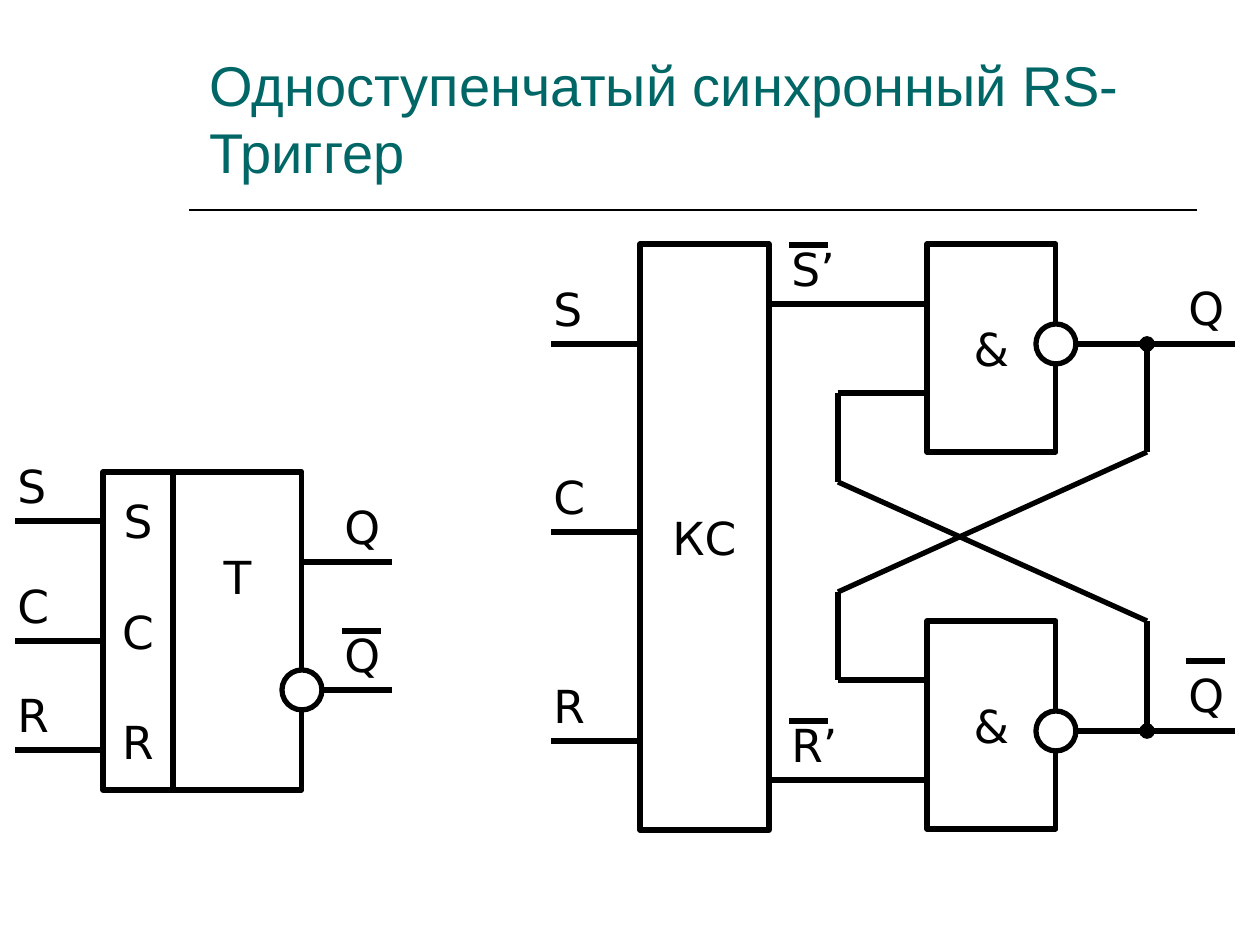
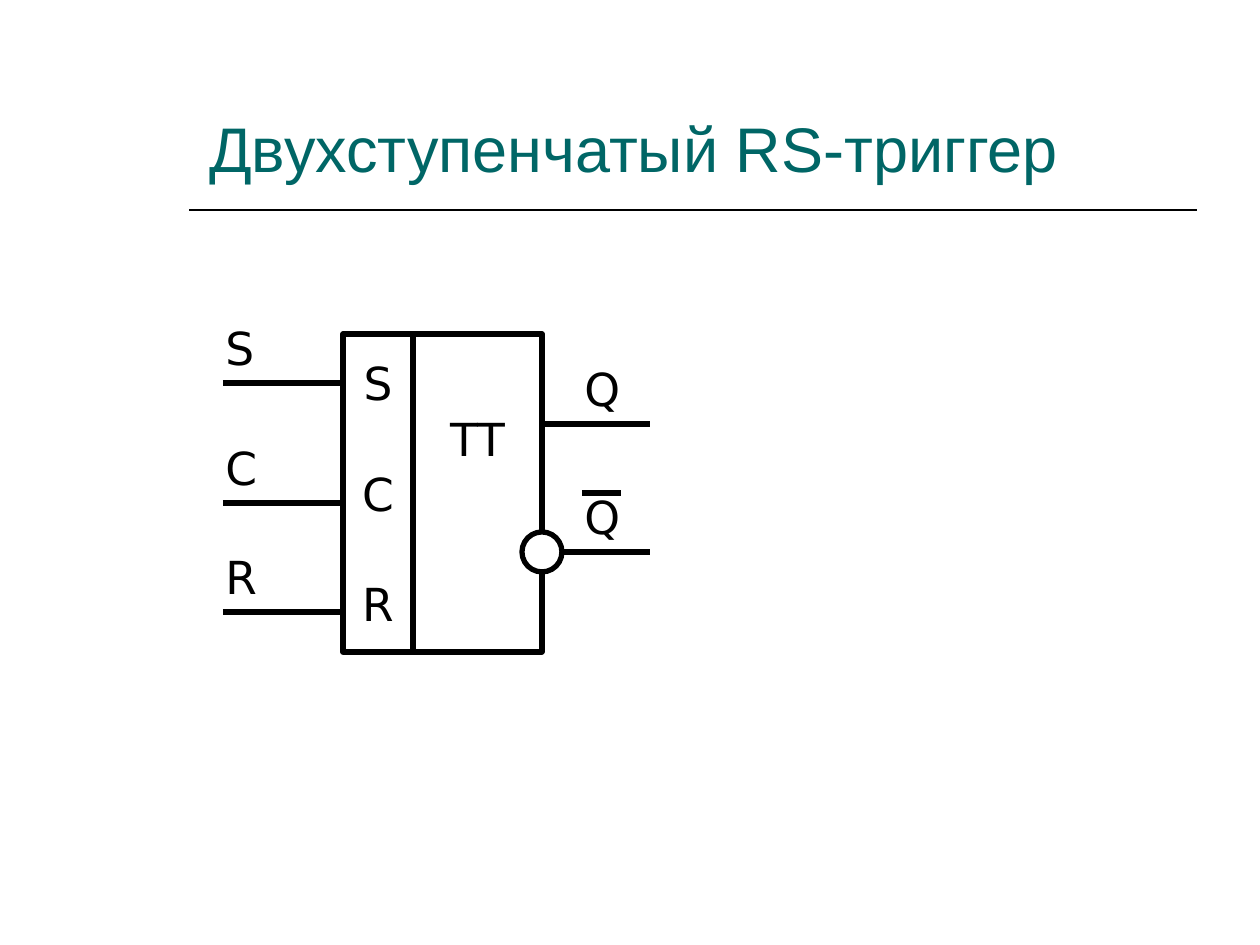
"""Build two slides on single-stage and two-stage RS flip-flops."""
import pptx
import pptx.dml.color
import pptx.enum.shapes
import pptx.enum.text
import pptx.oxml.ns
import pptx.util
from lxml import etree

PX = 914400 / 126
COLOURS = {"title": "006666", "ink": "000000", "paper": "FFFFFF"}
RGB = pptx.dml.color.RGBColor.from_string
SHAPES = pptx.enum.shapes.MSO_SHAPE
ANCHORS = pptx.enum.text.MSO_ANCHOR
ALIGNS = pptx.enum.text.PP_ALIGN
SIGNAL_WIDTH = 3
LABEL_RISE = 69
BAR_RISE = 59
BAR_INDENT = 10
BAR_LENGTH = 39
BUBBLE = 40


def write(slide, text, x, y, w, h, *, outline=None, size=26, font="DejaVu Sans",
          colour="ink", align=ALIGNS.LEFT, anchor=ANCHORS.TOP, top=6, gap=0):
    place = [int(v * PX) for v in (x, y, w, h)]
    if outline is None:
        holder = slide.shapes.add_textbox(*place)
    else:
        holder = slide.shapes.add_shape(outline, *place)
        holder.shadow.inherit = False
        holder.fill.solid()
        holder.fill.fore_color.rgb = RGB(COLOURS["paper"])
        holder.line.color.rgb = RGB(COLOURS["ink"])
        holder.line.width = pptx.util.Pt(SIGNAL_WIDTH)
    frame = holder.text_frame
    frame.word_wrap = outline is None
    frame.vertical_anchor = anchor
    frame.margin_top = int(top * PX)
    frame.text = text
    for index, paragraph in enumerate(frame.paragraphs):
        paragraph.alignment = align
        if index:
            paragraph.space_before = pptx.util.Pt(gap)
        paragraph.font.size = pptx.util.Pt(size)
        paragraph.font.name = font
        paragraph.font.color.rgb = RGB(COLOURS[colour])


def wire(slide, x1, y1, x2, y2, width=SIGNAL_WIDTH, node=False):
    line = slide.shapes.add_connector(
        pptx.enum.shapes.MSO_CONNECTOR.STRAIGHT, *[int(v * PX) for v in (x1, y1, x2, y2)])
    line.line.color.rgb = RGB(COLOURS["ink"])
    line.line.width = pptx.util.Pt(width)
    if node:
        etree.SubElement(line.line._get_or_add_ln(), pptx.oxml.ns.qn("a:headEnd"), type="oval")
    etree.SubElement(line._element.spPr, pptx.oxml.ns.qn("a:effectLst"))


deck = pptx.Presentation()
deck.slide_width = pptx.util.Inches(10)
deck.slide_height = pptx.util.Inches(7.5)

centred = {"outline": SHAPES.RECTANGLE, "align": ALIGNS.CENTER, "anchor": ANCHORS.MIDDLE}
triggers = (
    ("Одноступенчатый синхронный RS-Триггер", 32, "T", 103, 472, 88, 90),
    ("Двухступенчатый RS-триггер", 36, "TT", 343, 334, 120, 108),
)
for title, title_size, kind, left, top, input_length, output_length in triggers:
    slide = deck.slides.add_slide(deck.slide_layouts[6])
    wire(slide, 189, 210, 1197, 210, width=1)
    write(slide, title, 197, 49, 993, 142, size=title_size, font="Arial",
          colour="title", anchor=ANCHORS.BOTTOM)

    right = left + 199
    write(slide, "S\nC\nR", left, top, 70, 318, gap=32, **centred)
    write(slide, kind, left + 70, top, 129, 318, outline=SHAPES.RECTANGLE,
          align=ALIGNS.CENTER, top=77)
    for signal, drop in (("S", 49), ("С", 169), ("R", 278)):
        start = left - input_length
        wire(slide, start, top + drop, left, top + drop)
        write(slide, signal, start - 10, top + drop - LABEL_RISE, 89, 68)
    for drop in (90, 218):
        wire(slide, right, top + drop, right + output_length, top + drop)
        write(slide, "Q", right + 30, top + drop - LABEL_RISE, 89, 68)
    bar_left = right + 30 + BAR_INDENT
    wire(slide, bar_left, top + 218 - BAR_RISE, bar_left + BAR_LENGTH, top + 218 - BAR_RISE)
    write(slide, "", right - BUBBLE / 2, top + 218 - BUBBLE / 2, BUBBLE, BUBBLE,
          outline=SHAPES.OVAL)

circuit = deck.slides[0]
logic_left, logic_right = 640, 769
gate_left, gate_right = 927, 1056
loop_x, node_x = 838, 1147

for signal, y in (("S", 344), ("С", 532), ("R", 741)):
    wire(circuit, 551, y, logic_left, y)
    write(circuit, signal, 541, y - LABEL_RISE, 89, 68)

for signal, y in (("S’", 304), ("R’", 780)):
    wire(circuit, logic_right, y, gate_left, y)
    write(circuit, signal, 779, y - LABEL_RISE, 89, 68)
    wire(circuit, 779 + BAR_INDENT, y - BAR_RISE, 779 + BAR_INDENT + BAR_LENGTH, y - BAR_RISE)
write(circuit, "КС", logic_left, 244, logic_right - logic_left, 586, **centred)

feedback = ((244, 344, 452, 592, 680), (621, 731, 621, 482, 393))
for gate_top, output_y, bend_y, turn_y, input_y in feedback:
    wire(circuit, gate_right, output_y, 1235, output_y)
    write(circuit, "&", gate_left, gate_top, gate_right - gate_left, 208, **centred)
    write(circuit, "", gate_right - BUBBLE / 2, output_y - BUBBLE / 2, BUBBLE, BUBBLE,
          outline=SHAPES.OVAL)
    write(circuit, "Q", 1176, output_y - LABEL_RISE - 1, 69, 68)
for gate_top, output_y, bend_y, turn_y, input_y in feedback:
    wire(circuit, node_x, output_y, node_x, bend_y, node=True)
    wire(circuit, node_x, bend_y, loop_x, turn_y)
    wire(circuit, loop_x, turn_y, loop_x, input_y)
    wire(circuit, loop_x, input_y, gate_left, input_y)
wire(circuit, 1186, 661, 1186 + BAR_LENGTH, 661)

deck.save("out.pptx")
